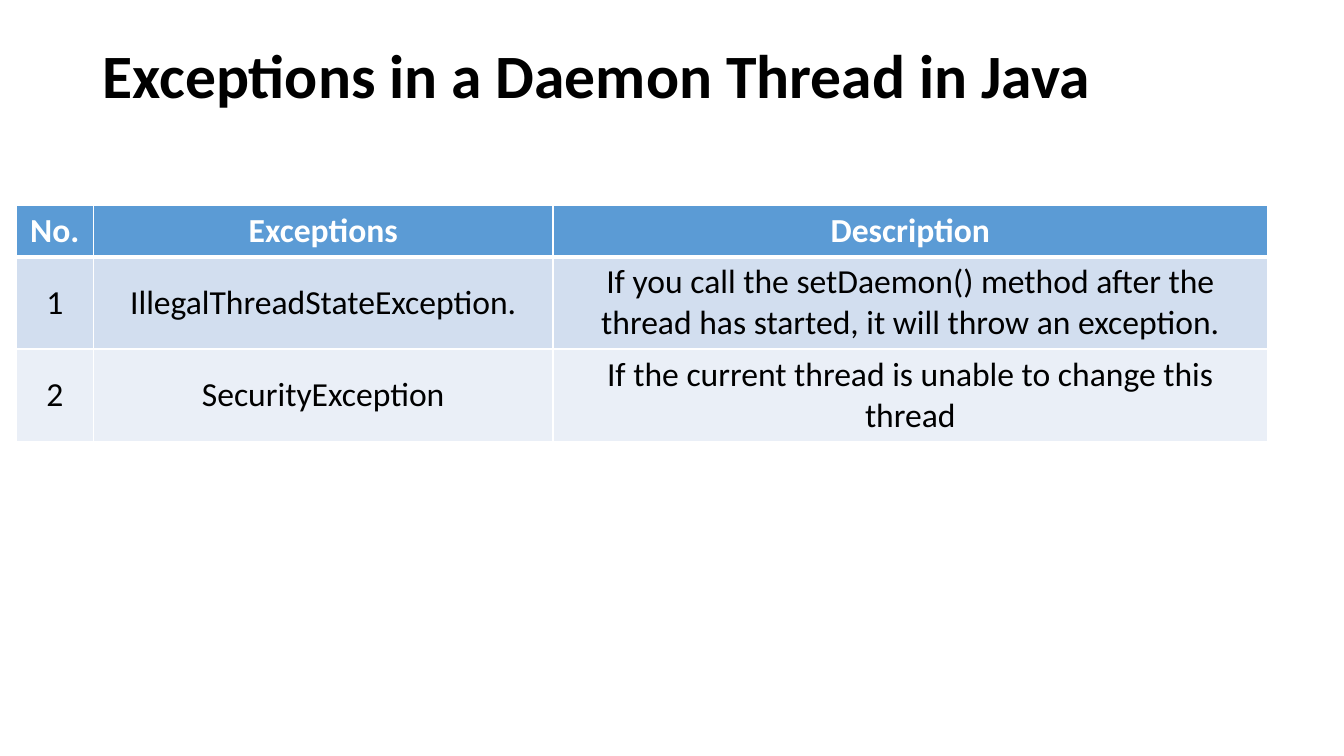
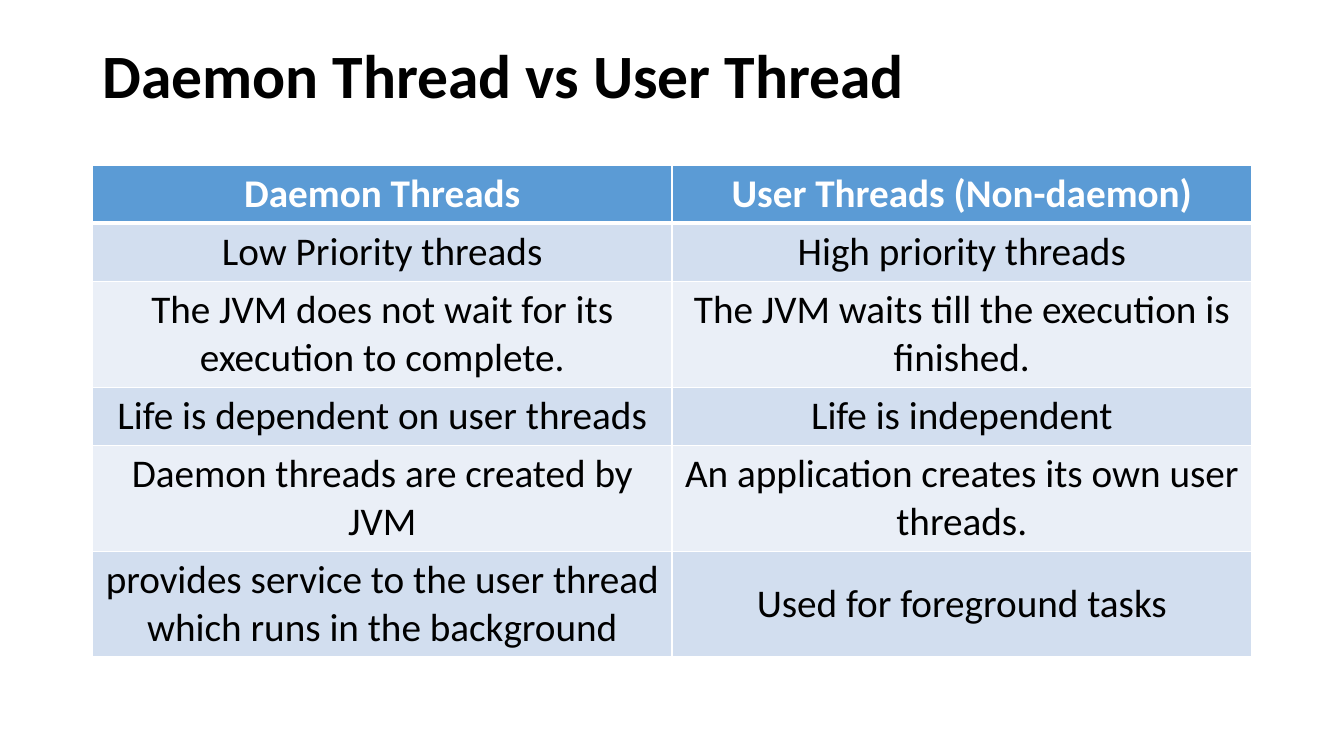
from pptx import Presentation
from pptx.dml.color import RGBColor
from pptx.enum import text
from pptx.oxml import parse_xml
from pptx.oxml import ns
from pptx.util import Pt

FONT = "Calibri"
BLACK = RGBColor(0x00, 0x00, 0x00)
WHITE = RGBColor(0xFF, 0xFF, 0xFF)
HEADER = RGBColor(0x5B, 0x9B, 0xD5)
BANDS = (RGBColor(0xD2, 0xDE, 0xEF), RGBColor(0xEA, 0xEF, 0xF7))
TITLE_BOX = (66, 28.8, 828, 104.4)
LINE_HEIGHT = 1.22
CELL_PADDING = 7.2

EXCEPTIONS = [
    ("No.", "Exceptions", "Description"),
    ("1", "IllegalThreadStateException.",
     "If you call the setDaemon() method after the thread has started, "
     "it will throw an exception."),
    ("2", "SecurityException",
     "If the current thread is unable to change this thread"),
]
COMPARISON = [
    ("Daemon Threads", "User Threads (Non-daemon)"),
    ("Low Priority threads", "High priority threads"),
    ("The JVM does not wait for its execution to complete.",
     "The JVM waits till the execution is finished."),
    ("Life is dependent on user threads", "Life is independent"),
    ("Daemon threads are created by JVM",
     "An application creates its own user threads."),
    ("provides service to the user thread which runs in the background",
     "Used for foreground tasks"),
]


def add_run(p, content, size, color, bold):
    r = p.add_run()
    r.text = content
    r.font.name = FONT
    r.font.size = Pt(size)
    r.font.bold = bold
    r.font.color.rgb = color


def add_title(s, content, box):
    sp = s.shapes.title
    sp.left, sp.top, sp.width, sp.height = map(Pt, box)
    tf = sp.text_frame
    tf.word_wrap = True
    tf.auto_size = text.MSO_AUTO_SIZE.NONE
    tf.vertical_anchor = text.MSO_ANCHOR.TOP
    p = tf.paragraphs[0]
    p.alignment = text.PP_ALIGN.LEFT
    p.line_spacing = 0.9
    add_run(p, content, 44, BLACK, True)


def set_borders(cell, top, bottom):
    tcPr = cell._tc.get_or_add_tcPr()
    sides = (("lnL", 1), ("lnR", 1), ("lnT", top), ("lnB", bottom))
    for i, (side, width) in enumerate(sides):
        tcPr.insert(i, parse_xml(
            f'<a:{side} {ns.nsdecls("a")} w="{Pt(width)}"><a:solidFill>'
            f'<a:srgbClr val="{WHITE}"/></a:solidFill></a:{side}>'))


def fill_cell(cell, content, row, size):
    is_header = row == 0
    cell.vertical_anchor = text.MSO_ANCHOR.MIDDLE
    cell.fill.solid()
    cell.fill.fore_color.rgb = HEADER if is_header else BANDS[(row - 1) % 2]
    set_borders(cell, 3 if row == 1 else 1, 3 if is_header else 1)
    p = cell.text_frame.paragraphs[0]
    p.alignment = text.PP_ALIGN.CENTER
    add_run(p, content, size, WHITE if is_header else BLACK, is_header)


def add_table(s, rows, left, top, widths, line_counts, size):
    heights = [n * size * LINE_HEIGHT + CELL_PADDING for n in line_counts]
    table = s.shapes.add_table(
        len(rows), len(widths), Pt(left), Pt(top),
        Pt(sum(widths)), Pt(sum(heights))).table
    table.first_row = True
    table.horz_banding = False
    for column, width in zip(table.columns, widths):
        column.width = Pt(width)
    for i, (row, height) in enumerate(zip(rows, heights)):
        table.rows[i].height = Pt(height)
        for j, content in enumerate(row):
            fill_cell(table.cell(i, j), content, i, size)


def add_table_slide(prs, title, rows, left, top, widths, line_counts, size):
    s = prs.slides.add_slide(prs.slide_layouts.get_by_name("Title Only"))
    add_title(s, title, TITLE_BOX)
    add_table(s, rows, left, top, widths, line_counts, size)


def main():
    prs = Presentation()
    prs.slide_width, prs.slide_height = Pt(960), Pt(540)
    add_table_slide(prs, "Exceptions in a Daemon Thread in Java", EXCEPTIONS,
                    11.5, 147, (55.3, 328.2, 510.5), (1, 2, 2), 24)
    add_table_slide(prs, "Daemon Thread vs User Thread", COMPARISON,
                    66, 118, (414, 414), (1, 1, 2, 1, 2, 2), 28)
    prs.save("out.pptx")


if __name__ == "__main__":
    main()
